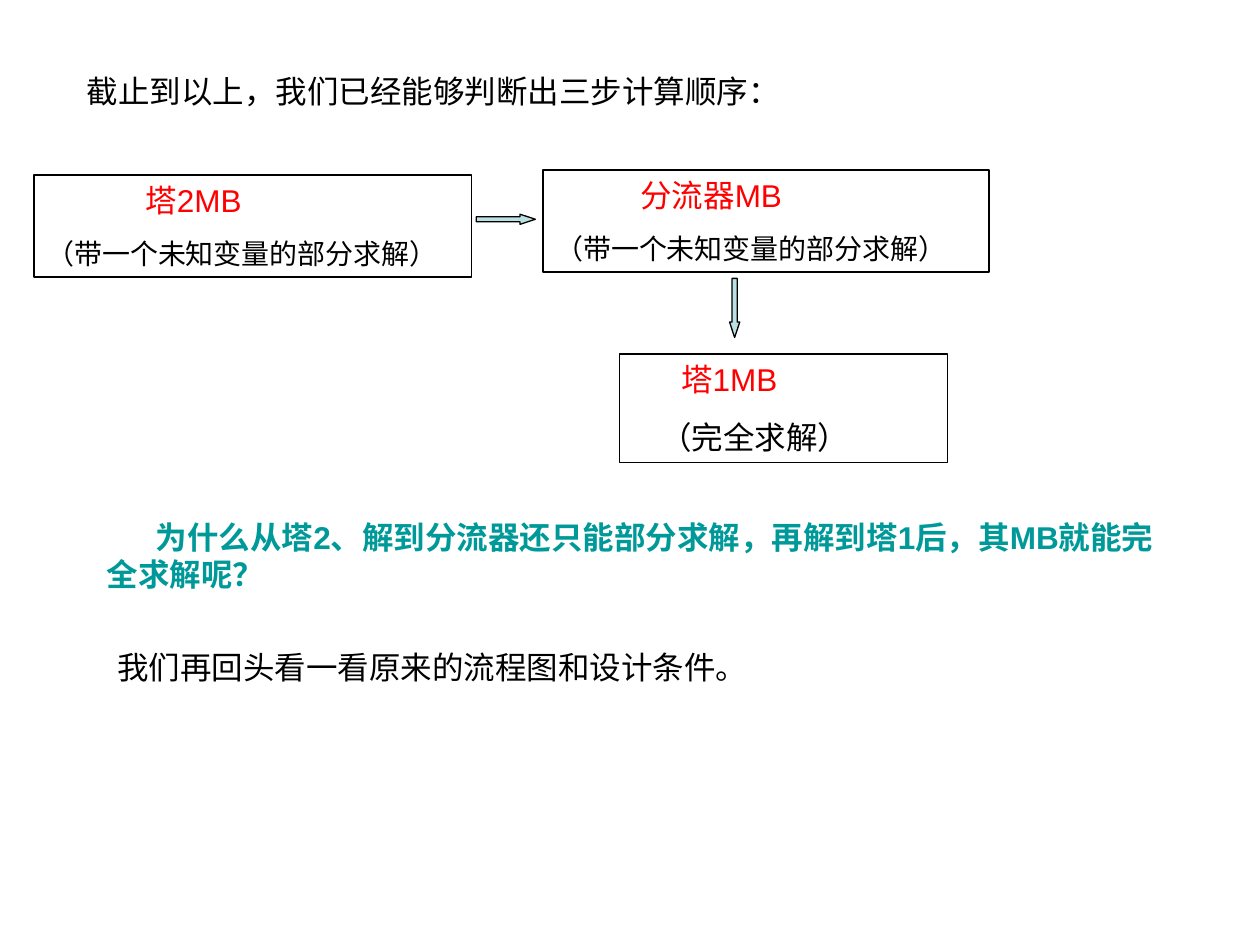
from typing import NamedTuple

from pptx import Presentation
from pptx.dml.color import RGBColor
from pptx.enum.shapes import MSO_SHAPE
from pptx.enum.text import MSO_ANCHOR, MSO_AUTO_SIZE, PP_ALIGN
from pptx.util import Pt

RECT = MSO_SHAPE.RECTANGLE
RIGHT, DOWN = MSO_SHAPE.RIGHT_ARROW, MSO_SHAPE.DOWN_ARROW
TOP, LEFT = MSO_ANCHOR.TOP, PP_ALIGN.LEFT
GROW = MSO_AUTO_SIZE.SHAPE_TO_FIT_TEXT
FONT = "Arial"
COLORS = {"ink": "000000", "red": "FF0000", "teal": "009999", "arrow": "BBE0E3"}


class Area(NamedTuple):
    left: float
    top: float
    width: float
    height: float


class Line(NamedTuple):
    text: str
    color: str = "ink"
    size: float = 18
    bold: bool = False
    indent: float = 0  # first-line indent
    before: float = 0


class Block(NamedTuple):
    area: Area
    lines: list[Line]
    framed: bool = False


class Arrow(NamedTuple):
    kind: MSO_SHAPE
    area: Area
    head: float


PARTIAL = Line("（带一个未知变量的部分求解）", size=16, before=10)

BLOCKS = [
    # Opening sentence
    Block(Area(42.5, 37.5, 481.7, 28.8),
          [Line("截止到以上，我们已经能够判断出三步计算顺序：")]),
    # Three steps of the calculation
    Block(Area(19.5, 100, 249.8, 58.3),
          [Line("塔2MB", "red", indent=56.5), PARTIAL], True),
    Block(Area(310.3, 97.2, 254.9, 58.3),
          [Line("分流器MB", "red", indent=48.5), PARTIAL], True),
    Block(Area(354.2, 202.3, 187.2, 61.9),
          [Line("塔1MB", "red", indent=28),
           Line("（完全求解）", indent=16, before=11.2)], True),
    # Question and closing sentence
    Block(Area(54, 292.3, 617.8, 50.4),
          [Line("为什么从塔2、解到分流器还只能部分求解，再解到塔1后，其MB就能完全求解呢？",
                "teal", bold=True, indent=28)]),
    Block(Area(59.8, 366.5, 396.7, 28.8),
          [Line("我们再回头看一看原来的流程图和设计条件。")]),
]

ARROWS = [
    Arrow(RIGHT, Area(272.2, 122.4, 33.8, 5.8), 1.52),
    Arrow(DOWN, Area(416.9, 159.1, 5.8, 33.8), 1.52),
]


def tint(name: str) -> RGBColor:
    return RGBColor.from_string(COLORS[name])


def add_form(shapes, kind: MSO_SHAPE, area: Area):
    form = shapes.add_shape(kind, *map(Pt, area))
    form.shadow.inherit = False
    form.line.color.rgb = tint("ink")
    form.line.width = Pt(0.75)
    return form


def add_block(shapes, block: Block) -> None:
    if block.framed:
        box = add_form(shapes, RECT, block.area)
        box.fill.background()
    else:
        box = shapes.add_textbox(*map(Pt, block.area))
    frame = box.text_frame
    frame.word_wrap = True
    frame.auto_size = GROW
    frame.vertical_anchor = TOP
    for i, line in enumerate(block.lines):
        para = frame.add_paragraph() if i else frame.paragraphs[0]
        para.text = line.text
        para.alignment = LEFT
        para.space_before = Pt(line.before)
        if line.indent:
            para._p.get_or_add_pPr().set("indent", str(Pt(line.indent)))
        font = para.font
        font.name, font.size, font.bold = FONT, Pt(line.size), line.bold
        font.color.rgb = tint(line.color)


def add_arrow(shapes, arrow: Arrow) -> None:
    form = add_form(shapes, arrow.kind, arrow.area)
    form.fill.solid()
    form.fill.fore_color.rgb = tint("arrow")
    form.adjustments[0] = 0.5
    form.adjustments[1] = arrow.head


def main() -> None:
    deck = Presentation()
    deck.slide_width, deck.slide_height = Pt(720), Pt(540)
    shapes = deck.slides.add_slide(deck.slide_layouts[6]).shapes
    for block in BLOCKS:
        add_block(shapes, block)
    for arrow in ARROWS:
        add_arrow(shapes, arrow)
    deck.save("out.pptx")


if __name__ == "__main__":
    main()
